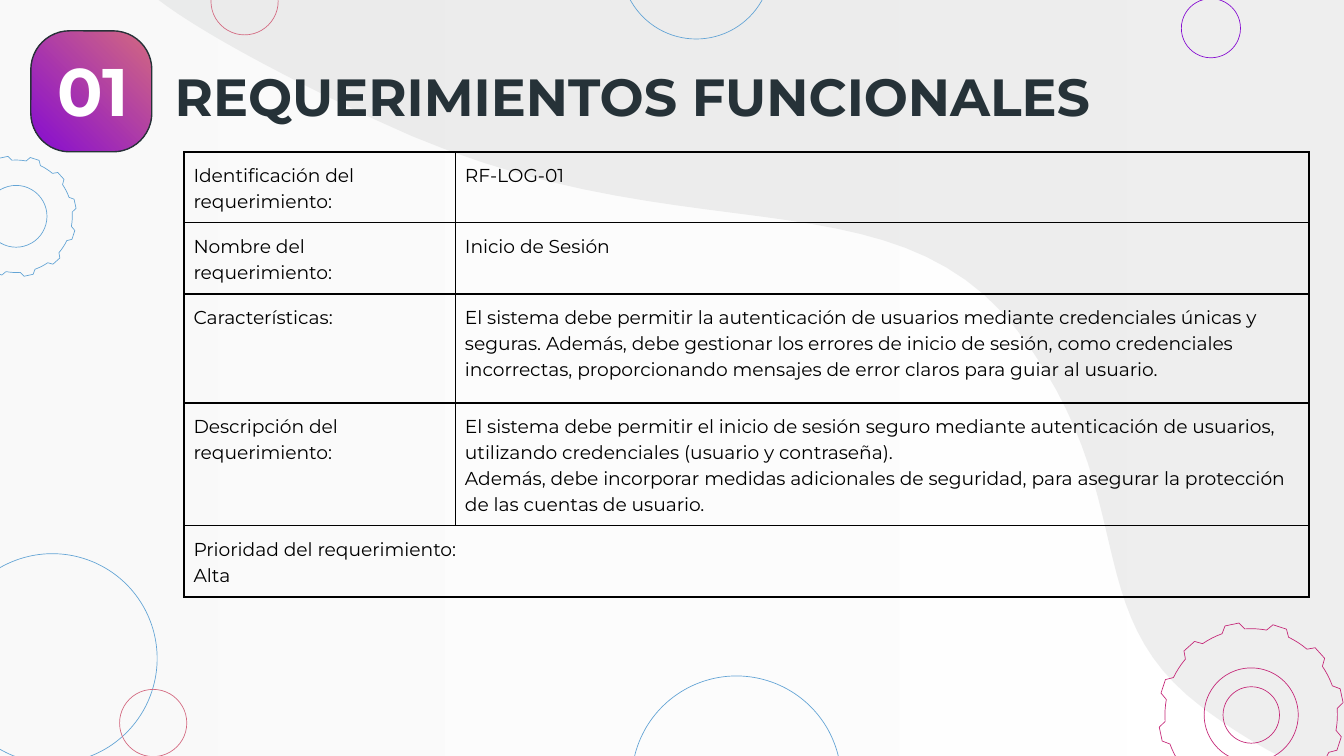
import math
import pptx
import pptx.util
import pptx.dml.color
import pptx.enum.shapes
import pptx.enum.text
import pptx.oxml.ns
from lxml import etree

# Content
NUMBER = "01"
TITLE = "REQUERIMIENTOS FUNCIONALES"
ROWS = [  # height, cells; each cell is a list of paragraphs
    (0.52, [["Identificación del requerimiento:"], ["RF-LOG-01"]]),
    (0.53, [["Nombre del requerimiento:"], ["Inicio de Sesión"]]),
    (0.81, [["Características:"], [
        "El sistema debe permitir la autenticación de usuarios mediante "
        "credenciales únicas y seguras. Además, debe gestionar los errores de "
        "inicio de sesión, como credenciales incorrectas, proporcionando "
        "mensajes de error claros para guiar al usuario."]]),
    (0.91, [["Descripción del requerimiento:"], [
        "El sistema debe permitir el inicio de sesión seguro mediante "
        "autenticación de usuarios, utilizando credenciales (usuario y contraseña).",
        "Además, debe incorporar medidas adicionales de seguridad, para "
        "asegurar la protección de las cuentas de usuario."]]),
    (0.53, [["Prioridad del requerimiento:", "Alta"]]),
]
COLS = [2.02, 6.35]
WIDE, HIGH = 10, 10 * 9 / 16


class Theme:
    font = "Montserrat"
    ink, dark, white = "000000", "263238", "FFFFFF"
    mist, wave = "F3F3F3", "D6D7D7"
    blue, pink, purple, rose = "63A4D5", "D36980", "860CD1", "C52878"
    num, head, body = 36, 28, 10
    thin, edge, grid = 0.36, 0.75, 1
    veil = 41  # opacity of the backdrop, percent


# Decoration: centre x, centre y, radius, colour
RINGS = [
    (0.39, 4.9, 0.78, Theme.blue), (9.01, 0.21, 0.22, Theme.purple),
    (1.82, 0.01, 0.25, Theme.pink), (5.18, -0.27, 0.56, Theme.blue),
    (5.48, 5.81, 0.78, Theme.blue), (1.14, 5.38, 0.25, Theme.pink),
    (0.12, 1.61, 0.23, Theme.blue), (9.31, 5.32, 0.35, Theme.rose),
    (9.31, 5.32, 0.21, Theme.rose),
]
GEARS = [(0.12, 1.61, 0.45, Theme.blue), (9.31, 5.32, 0.69, Theme.rose)]
TEETH = 12
TOOTH = [(-7.7, 0.93), (-4.4, 1), (4.4, 1), (7.7, 0.93), (11.4, 0.93),
         (15, 0.93), (18.6, 0.93)]  # degrees, share of radius
CURVES = [  # edge of the wave: two handles and an end for each stretch
    ((9.81, 5.78), (9.39, 5.6), (8.94, 5.26)),
    ((8, 4.55), (8.51, 3.69), (7.57, 2.46)),
    ((6.62, 1.23), (5.02, 1.95), (2.79, 0.89)),
    ((1.76, 0.4), (1.28, 0.1), (1.07, -0.09)),
]

inch, pt = pptx.util.Inches, pptx.util.Pt
KIND = pptx.enum.shapes.MSO_SHAPE
ALIGN = pptx.enum.text.PP_ALIGN
MIDDLE = pptx.enum.text.MSO_ANCHOR.MIDDLE
qn = pptx.oxml.ns.qn


def rgb(code):
    return pptx.dml.color.RGBColor.from_string(code)


def paint(shape, fill=None, line=None, width=Theme.thin, angle=0):
    """Fill with nothing, one colour, or a pair as a gradient."""
    shape.shadow.inherit = False
    if fill is None:
        shape.fill.background()
    elif isinstance(fill, tuple):
        shape.fill.gradient()
        shape.fill.gradient_angle = angle
        for stop, code in zip(shape.fill.gradient_stops, fill):
            stop.color.rgb = rgb(code)
    else:
        shape.fill.solid()
        shape.fill.fore_color.rgb = rgb(fill)
    if line:
        shape.line.color.rgb = rgb(line)
        shape.line.width = pt(width)
    else:
        shape.line.fill.background()


def fade(shape):
    for node in shape._element.spPr.iter(qn("a:srgbClr")):
        etree.SubElement(node, qn("a:alpha"), val=str(Theme.veil * 1000))


def add(kind, left, top, wide, high):
    return slide.shapes.add_shape(kind, *map(inch, (left, top, wide, high)))


def outline(points):
    spots = [(inch(x), inch(y)) for x, y in points]
    form = slide.shapes.build_freeform(*spots[0])
    form.add_line_segments(spots[1:], close=True)
    return form.convert_to_shape()


def bend(start, one, two, end, steps=24):
    for i in range(1, steps + 1):
        t = i / steps
        u = 1 - t
        yield tuple(u**3 * a + 3 * u * u * t * b + 3 * u * t * t * c + t**3 * d
                    for a, b, c, d in zip(start, one, two, end))


def write(par, text, size, color, bold=False):
    run = par.add_run()
    run.text = text
    font = run.font
    font.name, font.size, font.bold = Theme.font, pt(size), bold
    font.color.rgb = rgb(color)


def border(cell):
    props = cell._tc.get_or_add_tcPr()
    for side in "LRTB":
        line = etree.SubElement(props, qn("a:ln" + side), w=str(pt(Theme.grid)))
        fill = etree.SubElement(line, qn("a:solidFill"))
        etree.SubElement(fill, qn("a:srgbClr"), val=Theme.ink)


deck = pptx.Presentation()
deck.slide_width, deck.slide_height = inch(WIDE), inch(HIGH)
slide = deck.slides.add_slide(deck.slide_layouts[5])

# Backdrop and wave
back = add(KIND.RECTANGLE, -0.07, -0.07, 10.14, 5.77)
paint(back, (Theme.white, Theme.mist), angle=180)
fade(back)
points = [(10.28, -0.25), (10.28, 5.88), (10.13, 5.88)]
for curve in CURVES:
    points += list(bend(points[-1], *curve))
wave = outline(points + [(1.07, -0.25)])
paint(wave, Theme.wave)
fade(wave)

# Rings and gears
for x, y, r, color in RINGS:
    paint(add(KIND.OVAL, x - r, y - r, 2 * r, 2 * r), line=color)
for x, y, r, color in GEARS:
    points = []
    for i in range(TEETH):
        for turn, share in TOOTH:
            a = math.radians(i * 360 / TEETH - 12 + turn)
            points.append((x + r * share * math.cos(a), y + r * share * math.sin(a)))
    paint(outline(points), line=color)

# Number badge
badge = add(KIND.ROUNDED_RECTANGLE, 0.23, 0.23, 0.9, 0.9)
badge.adjustments[0] = 0.32
paint(badge, (Theme.pink, Theme.purple), Theme.dark, Theme.edge, angle=225)
frame = badge.text_frame
frame.margin_left, frame.margin_bottom = inch(0.03), inch(0.02)
frame.margin_right = frame.margin_top = 0
frame.vertical_anchor = MIDDLE
frame.paragraphs[0].alignment = ALIGN.CENTER
write(frame.paragraphs[0], NUMBER, Theme.num, Theme.white, True)

# Title, brought in front of the backdrop
head = slide.shapes.title
slide.shapes._spTree.append(head._element)
head.left, head.top, head.width, head.height = map(inch, (1.2, 0.47, 8.02, 0.48))
frame = head.text_frame
frame.auto_size = pptx.enum.text.MSO_AUTO_SIZE.NONE
frame.margin_left = frame.margin_right = inch(0.1)
frame.margin_top = frame.margin_bottom = inch(0.1)
frame.vertical_anchor = MIDDLE
frame.paragraphs[0].alignment = ALIGN.LEFT
write(frame.paragraphs[0], TITLE, Theme.head, Theme.dark, True)

# Table
size = (sum(COLS), sum(high for high, _ in ROWS))
table = slide.shapes.add_table(len(ROWS), len(COLS), inch(1.37), inch(1.13),
                               *map(inch, size)).table
table.first_row = table.horz_banding = False
for col, wide in zip(table.columns, COLS):
    col.width = inch(wide)
for r, (high, texts) in enumerate(ROWS):
    table.rows[r].height = inch(high)
    if len(texts) < len(COLS):
        table.cell(r, 0).merge(table.cell(r, len(COLS) - 1))
    for c in range(len(COLS)):
        cell = table.cell(r, c)
        border(cell)
        cell.fill.background()
        cell.margin_left = cell.margin_right = inch(0.07)
        cell.margin_top = cell.margin_bottom = inch(0.07)
        for i, text in enumerate(texts[c] if c < len(texts) else []):
            frame = cell.text_frame
            par = frame.add_paragraph() if i else frame.paragraphs[0]
            par.line_spacing = 1.15
            write(par, text, Theme.body, Theme.ink)

deck.save("out.pptx")
